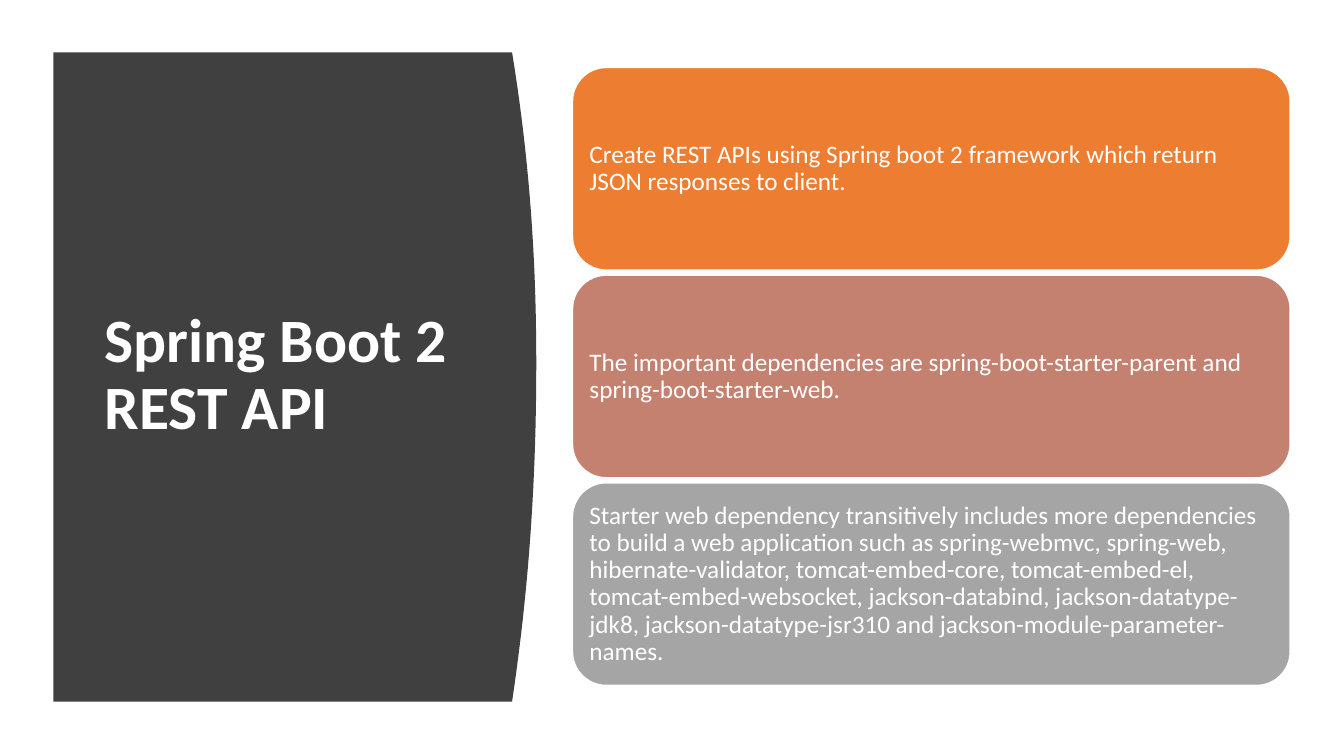
from dataclasses import dataclass

from pptx import Presentation
from pptx import util as u
from pptx.dml.color import RGBColor
from pptx.enum import shapes, text

SLIDE_WIDTH = u.Inches(13.333)
SLIDE_HEIGHT = u.Inches(7.5)


@dataclass(frozen=True)
class Theme:
    font: str = "Calibri"
    title_size: int = 44
    body_size: int = 18
    line_spacing: float = 0.9
    white: str = "FFFFFF"
    panel: str = "404040"
    cards: tuple = ("ED7D31", "C48170", "A5A5A5")


THEME = Theme()

TITLE = "Spring Boot 2 REST API"
POINTS = (
    "Create REST APIs using Spring boot 2 framework which return JSON "
    "responses to client.",
    "The important dependencies are spring-boot-starter-parent and "
    "spring-boot-starter-web.",
    "Starter web dependency transitively includes more dependencies to build "
    "a web application such as spring-webmvc, spring-web, "
    "hibernate-validator, tomcat-embed-core, tomcat-embed-el, "
    "tomcat-embed-websocket, jackson-databind, jackson-datatype-jdk8, "
    "jackson-datatype-jsr310 and jackson-module-parameter-names.",
)


# Grid: 100 columns by 100 rows
def column(count):
    return round(SLIDE_WIDTH * count / 100)


def row(count):
    return round(SLIDE_HEIGHT * count / 100)


def box(left, top, width, height):
    return column(left), row(top), column(width), row(height)


def fill_shape(shape, color):
    shape.shadow.inherit = False
    shape.fill.solid()
    shape.fill.fore_color.rgb = RGBColor.from_string(color)


def write_text(shape, content, size, bold=False):
    frame = shape.text_frame
    frame.text = content
    frame.word_wrap = True
    frame.vertical_anchor = text.MSO_ANCHOR.MIDDLE
    paragraph = frame.paragraphs[0]
    paragraph.alignment = text.PP_ALIGN.LEFT
    paragraph.line_spacing = THEME.line_spacing
    font = paragraph.runs[0].font
    font.name = THEME.font
    font.size = u.Pt(size)
    font.bold = bold
    font.color.rgb = RGBColor.from_string(THEME.white)


def add_curved_panel(slide):
    """Dark panel whose right edge bulges most just above mid-height."""
    left, top, bottom = 3.98, 6.93, 92.8
    corner, bulge, peak, steps = 38.1, 1.8, 48, 40
    edge = []
    for step in range(steps + 1):
        y = top + (bottom - top) * step / steps
        reach = peak - top if y < peak else bottom - peak
        x = corner + bulge * (1 - (abs(y - peak) / reach) ** 2.1)
        edge.append((column(x), row(y)))
    builder = slide.shapes.build_freeform(column(left), row(top))
    builder.add_line_segments(edge + [(column(left), row(bottom))], close=True)
    panel = builder.convert_to_shape()
    fill_shape(panel, THEME.panel)
    panel.line.fill.background()


def add_title(slide):
    title = slide.shapes.add_textbox(*box(7.05, 14.8, 28.05, 69.87))
    write_text(title, TITLE, THEME.title_size, bold=True)


def add_card(slide, index, content, color):
    top, height, pitch = 8.93, 26.8, 27.47
    card = slide.shapes.add_shape(
        shapes.MSO_SHAPE.ROUNDED_RECTANGLE,
        *box(42.6, top + index * pitch, 53.4, height))
    fill_shape(card, color)
    card.line.color.rgb = RGBColor.from_string(THEME.white)
    card.line.width = u.Pt(1)
    write_text(card, content, THEME.body_size)
    frame = card.text_frame
    frame.margin_left = frame.margin_right = u.Inches(0.07)
    frame.margin_top = frame.margin_bottom = u.Inches(0.07)


def main():
    presentation = Presentation()
    presentation.slide_width = SLIDE_WIDTH
    presentation.slide_height = SLIDE_HEIGHT
    slide = presentation.slides.add_slide(presentation.slide_layouts[6])

    # Left: title panel
    add_curved_panel(slide)
    add_title(slide)

    # Right: stacked cards
    for index, (content, color) in enumerate(zip(POINTS, THEME.cards)):
        add_card(slide, index, content, color)

    presentation.save("out.pptx")


if __name__ == "__main__":
    main()
